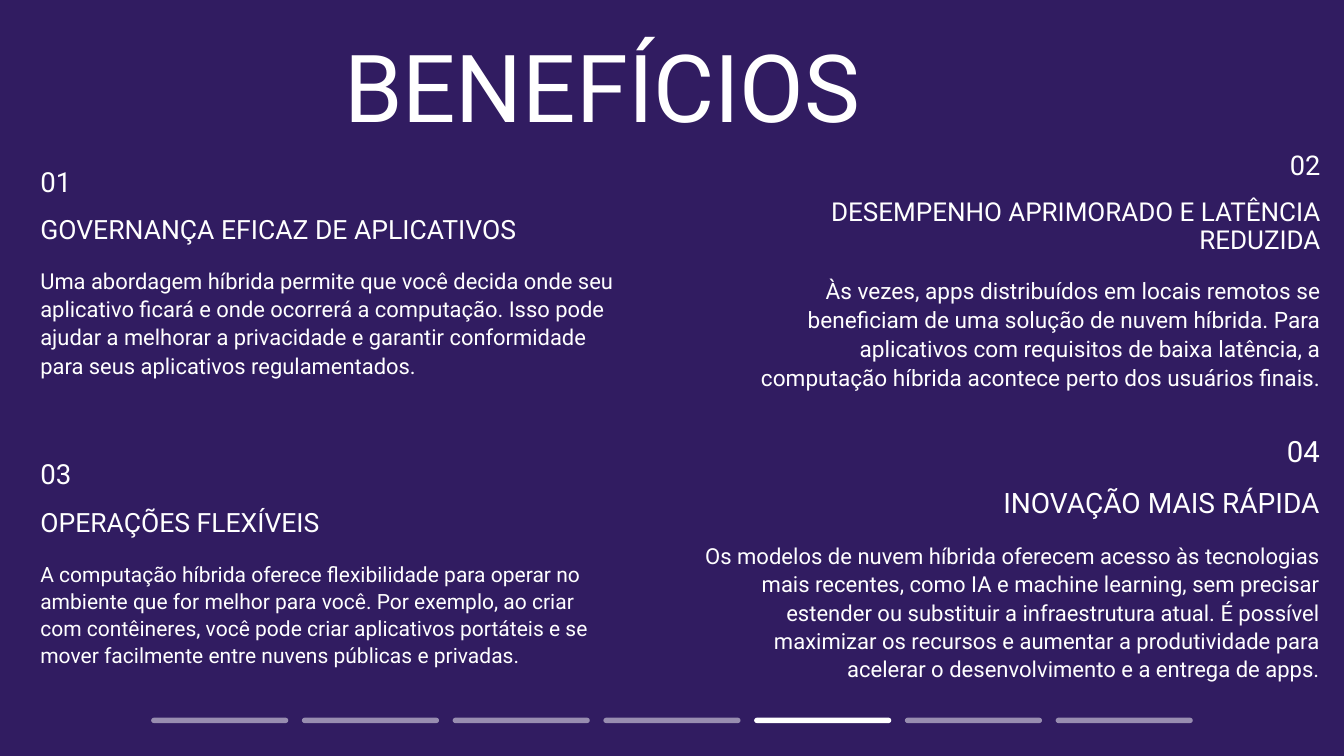
from dataclasses import dataclass

from lxml.etree import SubElement
from pptx import Presentation
from pptx.dml.color import RGBColor
from pptx.enum.shapes import MSO_SHAPE
from pptx.enum.text import MSO_AUTO_SIZE, PP_ALIGN
from pptx.oxml.ns import qn
from pptx.slide import Slide
from pptx.util import Inches, Pt

COLORS = {"background": "311C61", "light": "FFFFFF"}
FONT = "Roboto"
BAR_COUNT, ACTIVE_BAR = 7, 4
BAR_LEFT, BAR_TOP, BAR_WIDTH, BAR_HEIGHT = 2.25, 10.68, 2.04, 0.08
BAR_PITCH = (17.75 - BAR_WIDTH - BAR_LEFT) / (BAR_COUNT - 1)


@dataclass
class Line:
    text: str
    top: float
    height: float
    size: float
    spacing: float


@dataclass
class Benefit:
    left: float
    width: float
    align: PP_ALIGN
    lines: list[Line]


TITLE = Line("BENEFÍCIOS", 0.59, 1.55, 100.6, 108.6)
BENEFITS = [
    Benefit(0.6, 8.63, PP_ALIGN.LEFT, [
        Line("01", 2.5, 0.45, 29.6, 32),
        Line("GOVERNANÇA EFICAZ DE APLICATIVOS", 3.22, 0.45, 28.4, 30.6),
        Line("Uma abordagem híbrida permite que você decida onde seu aplicativo "
             "ficará e onde ocorrerá a computação. Isso pode ajudar a melhorar a "
             "privacidade e garantir conformidade para seus aplicativos "
             "regulamentados.", 3.96, 2.07, 23.5, 30.1),
    ]),
    Benefit(10.91, 8.74, PP_ALIGN.RIGHT, [
        Line("02", 2.25, 0.45, 29.1, 31.4),
        Line("DESEMPENHO APRIMORADO E LATÊNCIA REDUZIDA", 2.96, 0.84, 27.9, 30.1),
        Line("Às vezes, apps distribuídos em locais remotos se beneficiam de uma "
             "solução de nuvem híbrida. Para aplicativos com requisitos de baixa "
             "latência, a computação híbrida acontece perto dos usuários finais.",
             4.09, 2.12, 24.2, 31),
    ]),
    Benefit(0.6, 8.63, PP_ALIGN.LEFT, [
        Line("03", 6.85, 0.45, 29.6, 32),
        Line("OPERAÇÕES FLEXÍVEIS", 7.58, 0.45, 28.4, 30.6),
        Line("A computação híbrida oferece flexibilidade para operar no ambiente "
             "que for melhor para você. Por exemplo, ao criar com contêineres, você "
             "pode criar aplicativos portáteis e se mover facilmente entre nuvens "
             "públicas e privadas.", 8.33, 1.96, 22.5, 28.8),
    ]),
    Benefit(10.49, 9.15, PP_ALIGN.RIGHT, [
        Line("04", 6.5, 0.49, 31.4, 33.9),
        Line("INOVAÇÃO MAIS RÁPIDA", 7.28, 0.47, 30.1, 32.5),
        Line("Os modelos de nuvem híbrida oferecem acesso às tecnologias mais "
             "recentes, como IA e machine learning, sem precisar estender ou "
             "substituir a infraestrutura atual. É possível maximizar os recursos e "
             "aumentar a produtividade para acelerar o desenvolvimento e a entrega "
             "de apps.", 8.05, 2.91, 23.6, 30.2),
    ]),
]


def color(name: str) -> RGBColor:
    return RGBColor.from_string(COLORS[name])


def add_line(s: Slide, line: Line, left: float, width: float, align: PP_ALIGN) -> None:
    sp = s.shapes.add_textbox(Inches(left), Inches(line.top), Inches(width), Inches(line.height))
    tf = sp.text_frame
    tf.word_wrap = True
    tf.auto_size = MSO_AUTO_SIZE.SHAPE_TO_FIT_TEXT
    tf.margin_left = tf.margin_right = tf.margin_top = tf.margin_bottom = 0
    p = tf.paragraphs[0]
    p.alignment = align
    p.line_spacing = Pt(line.spacing)
    r = p.add_run()
    r.text = line.text
    r.font.name = FONT
    r.font.size = Pt(line.size)
    r.font.color.rgb = color("light")


def add_bar(s: Slide, index: int) -> None:
    sp = s.shapes.add_shape(
        MSO_SHAPE.ROUNDED_RECTANGLE, Inches(BAR_LEFT + index * BAR_PITCH),
        Inches(BAR_TOP), Inches(BAR_WIDTH), Inches(BAR_HEIGHT))
    sp.adjustments[0] = 0.5
    sp.shadow.inherit = False
    sp.line.fill.background()
    sp.fill.solid()
    sp.fill.fore_color.rgb = color("light")
    if index != ACTIVE_BAR:
        clr = sp.fill._xPr.find(qn("a:solidFill")).find(qn("a:srgbClr"))
        SubElement(clr, qn("a:alpha")).set("val", "50000")


def main() -> None:
    prs = Presentation()
    prs.slide_width, prs.slide_height = Inches(20), Inches(11.25)
    s = prs.slides.add_slide(prs.slide_layouts[6])
    s.background.fill.solid()
    s.background.fill.fore_color.rgb = color("background")
    add_line(s, TITLE, 5.12, 8.89, PP_ALIGN.JUSTIFY)
    for benefit in BENEFITS:
        for line in benefit.lines:
            add_line(s, line, benefit.left, benefit.width, benefit.align)
    for index in range(BAR_COUNT):
        add_bar(s, index)
    prs.save("out.pptx")


if __name__ == "__main__":
    main()
